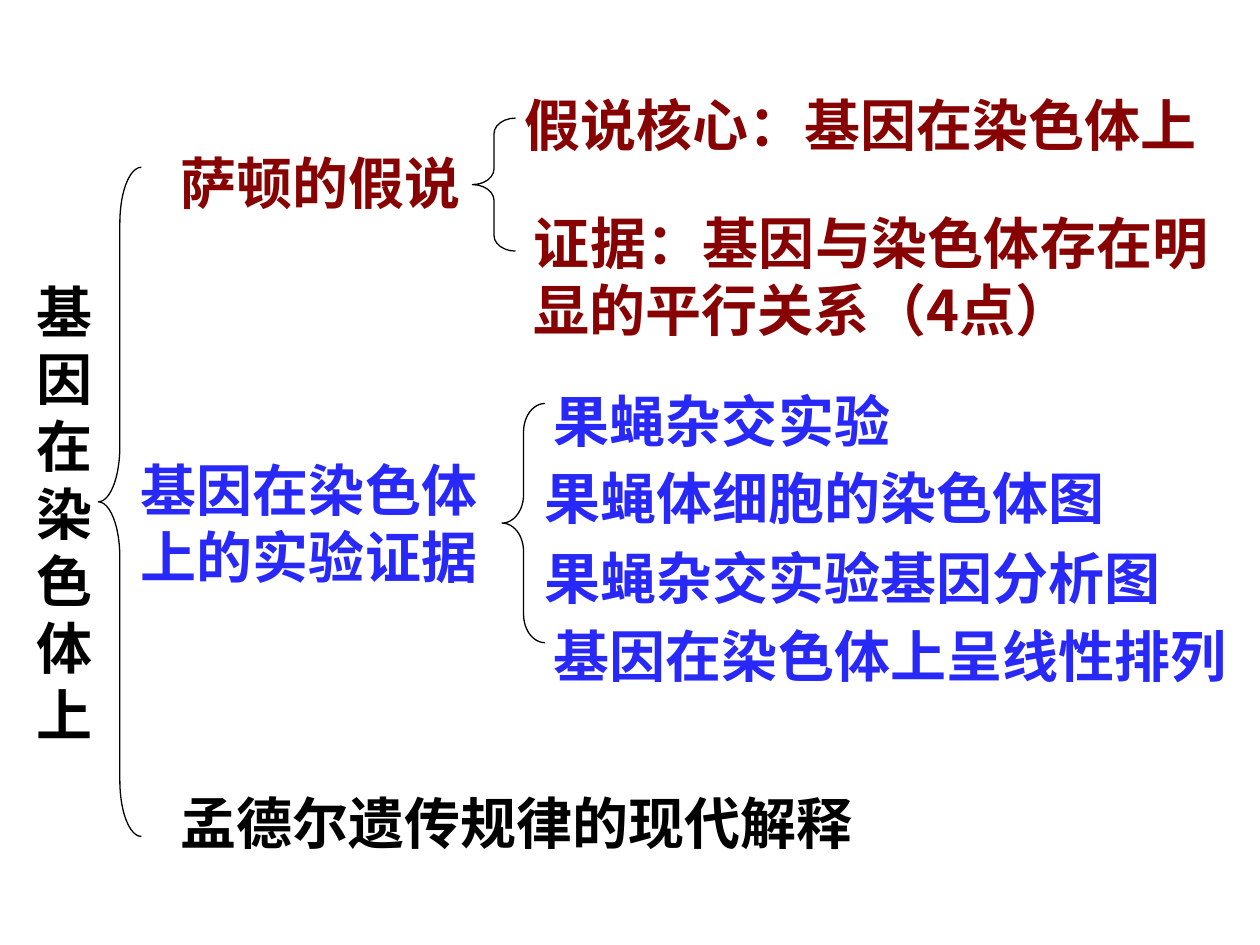
from dataclasses import dataclass

from lxml import etree
from pptx import Presentation
from pptx.dml.color import RGBColor
from pptx.enum.shapes import MSO_SHAPE
from pptx.enum.text import MSO_ANCHOR, MSO_AUTO_SIZE, PP_ALIGN
from pptx.oxml.ns import qn
from pptx.util import Pt


@dataclass(frozen=True)
class Theme:
    font: str = "Noto Sans CJK SC"
    latin_font: str = "Times New Roman"
    size: float = 32
    line_height: float = 38.4
    black: RGBColor = RGBColor(0x00, 0x00, 0x00)
    red: RGBColor = RGBColor(0x87, 0x03, 0x03)
    blue: RGBColor = RGBColor(0x28, 0x28, 0xF8)


THEME = Theme()


def write(box, runs, color, align):
    """Fill a box with one bold paragraph made of the given runs."""
    frame = box.text_frame
    frame.word_wrap = True
    frame.auto_size = MSO_AUTO_SIZE.NONE
    frame.vertical_anchor = MSO_ANCHOR.TOP
    frame.margin_left = frame.margin_right = Pt(7.2)
    frame.margin_top, frame.margin_bottom = Pt(6.6), Pt(3.6)

    paragraph = frame.paragraphs[0]
    for text in runs:
        paragraph.add_run().text = text
    paragraph.alignment = align
    paragraph.line_spacing = Pt(THEME.line_height)
    font = paragraph.font
    font.name, font.size, font.bold = THEME.font, Pt(THEME.size), True
    font.color.rgb = color
    # East Asian typeface
    properties = paragraph._p.pPr.find(qn("a:defRPr"))
    etree.SubElement(properties, qn("a:ea")).set("typeface", THEME.font)
    return paragraph


prs = Presentation()
prs.slide_width, prs.slide_height = Pt(720), Pt(540)
slide = prs.slides.add_slide(prs.slide_layouts[5])

# Main topic, one character per line
topic = slide.shapes.title
topic.left, topic.top, topic.width, topic.height = Pt(0), Pt(152), Pt(74), Pt(228)
write(topic, ["基因在染色体上"], THEME.black, PP_ALIGN.CENTER)

# Branches and their points: runs, left, top, width, height, colour, alignment
JUSTIFY, LEFT = PP_ALIGN.JUSTIFY, PP_ALIGN.LEFT
branches = [
    (["萨顿的假说"], 96, 78.5, 197, 45, THEME.red, JUSTIFY),
    (["假说核心：基因在染色体上"], 292.5, 45, 410, 45, THEME.red, JUSTIFY),
    (["证据：基因与染色体存在明", "显的平行关系（4点）"],
     298, 112.5, 400, 76, THEME.red, JUSTIFY),
    (["基因在染色体上的实验证据"], 73.5, 253.5, 230, 72, THEME.blue, LEFT),
    (["果蝇杂交实验"], 309.5, 214, 222, 40, THEME.blue, JUSTIFY),
    (["果蝇体细胞的染色体图"], 304, 258.5, 360, 39, THEME.blue, JUSTIFY),
    (["果蝇杂交实验基因分析图"], 304, 304, 377, 45, THEME.blue, JUSTIFY),
    (["基因在染色体上呈线性排列"], 309.5, 348.5, 405, 45, THEME.blue, JUSTIFY),
    (["孟德尔遗传规律的现代解释"], 96, 444, 407, 45, THEME.black, JUSTIFY),
]
for runs, left, top, width, height, color, align in branches:
    box = slide.shapes.add_textbox(Pt(left), Pt(top), Pt(width), Pt(height))
    branch = write(box, runs, color, align)
    if len(runs) > 1:
        branch.runs[0].font.name = THEME.latin_font

# Braces: left, top, height, height of the curved ends
brace_width = 24.6
braces = [
    (56.2, 95.6, 382.4, 31.9),
    (270, 67.5, 76, 9),
    (286.9, 230.6, 136.7, 16.2),
]
for left, top, height, curve in braces:
    brace = slide.shapes.add_shape(
        MSO_SHAPE.LEFT_BRACE, Pt(left), Pt(top), Pt(brace_width), Pt(height))
    brace.adjustments[0] = curve / brace_width
    brace.shadow.inherit = False
    brace.fill.background()
    brace.line.color.rgb = THEME.black
    brace.line.width = Pt(0.75)

prs.save("out.pptx")
